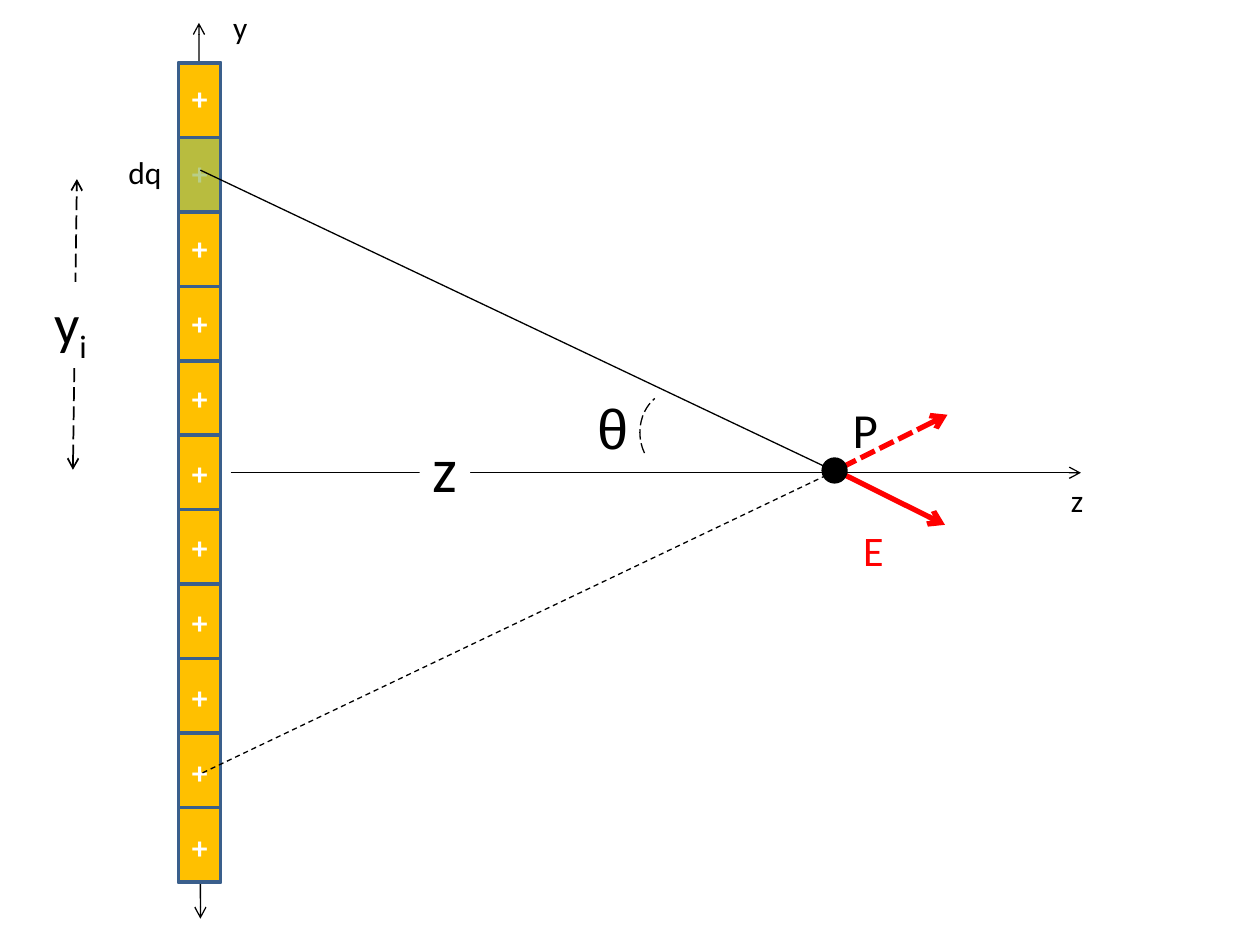
from pptx import Presentation
from pptx.dml.color import RGBColor
from pptx.enum.dml import MSO_LINE
from pptx.enum.shapes import MSO_CONNECTOR, MSO_SHAPE
from pptx.enum.text import MSO_ANCHOR, MSO_AUTO_SIZE, PP_ALIGN
from pptx.oxml.ns import qn
from pptx.util import Cm, Pt
from lxml.etree import SubElement

# Content: all lengths in centimetres
BLACK, WHITE, RED = "000000", "FFFFFF", "FF0000"
ROD_FILL, ROD_EDGE, ELEMENT_FILL = "FFC000", "3A5F8C", "9BBB59"

ROD = (3.6, 1.27, 0.85, 16.51)
SEGMENTS = 11
CHARGE_ELEMENT = 1
CHARGE_GAP = 21.2  # points between the plus signs

# start, end, format
LINES_BEHIND_ROD = [
    ((16.97, 9.42), (19.1, 8.36),
     dict(color=RED, width=3, dash=MSO_LINE.SQUARE_DOT, tail=True)),
    ((4.04, 18.52), (4.01, 0.46), dict(head=True, tail=True)),
    ((4.65, 9.53), (21.79, 9.53), dict(tail=True)),
]
LINES_OVER_ROD = [
    ((16.66, 9.42), (4.04, 3.43), dict()),
    ((16.66, 9.58), (4.04, 15.6), dict(dash=MSO_LINE.DASH)),
    ((1.47, 9.47), (1.55, 3.61),
     dict(width=1, dash=MSO_LINE.LONG_DASH, head=True, tail=True)),
    ((16.94, 9.53), (19.05, 10.58), dict(color=RED, width=3, tail=True)),
]

# text, place, format
LABELS = [
    ("y", (0.84, 5.69, 1.27, 1.63),
     dict(size=32, subscript="i", fill=WHITE, wrap=True)),
    ("z", (8.46, 8.53, 1.02, 1.8), dict(size=36, fill=WHITE)),
    ("θ", (11.79, 7.8, 1.47, 1.63), dict(size=32, font="Arial", wrap=True)),
    ("dq", (2.34, 2.97, 1.19, 1.02), dict()),
    ("E", (17.15, 10.44, 0.94, 1.27), dict(size=24, color=RED)),
    ("y", (4.45, 0.03, 0.81, 1.02), dict()),
    ("z", (21.34, 9.58, 0.76, 1.02), dict()),
    ("P", (16.94, 7.92, 1.04, 1.44), dict(size=28)),
]

ANGLE_ARC = (12.9, 7.87, 1.47, 1.7)
ARC_DEGREES = (327.11, 57.76)
POINT = (16.56, 9.22, 0.53, 0.53)


def rgb(value):
    return RGBColor.from_string(value)


def lengths(place):
    return [Cm(value) for value in place]


def paint(shape, fill=None, line=None, width=2):
    """Give a shape plain fill and outline, without shadow."""
    shape.shadow.inherit = False
    if fill:
        shape.fill.solid()
        shape.fill.fore_color.rgb = rgb(fill)
    else:
        shape.fill.background()
    if line:
        shape.line.color.rgb = rgb(line)
        shape.line.width = Pt(width)
    else:
        shape.line.fill.background()


def add_preset(shapes, preset, place, **look):
    shape = shapes.add_shape(preset, *lengths(place))
    paint(shape, **look)
    return shape


def add_line(shapes, start, end, color=BLACK, width=0.75, dash=None,
             head=False, tail=False):
    line = shapes.add_connector(
        MSO_CONNECTOR.STRAIGHT, *lengths(start + end))
    line.line.color.rgb = rgb(color)
    line.line.width = Pt(width)
    if dash:
        line.line.dash_style = dash
    outline = line.line._get_or_add_ln()
    for tag, wanted in (("a:headEnd", head), ("a:tailEnd", tail)):
        if wanted:
            SubElement(outline, qn(tag)).set("type", "arrow")
    SubElement(line.element.spPr, qn("a:effectLst"))


def write(para, text, size=18, font="Calibri", color=BLACK, bold=False):
    span = para.add_run()
    span.text = text
    span.font.size = Pt(size)
    span.font.name = font
    span.font.bold = bold
    span.font.color.rgb = rgb(color)
    return span


def add_label(shapes, text, place, fill=None, wrap=False, subscript="",
              **look):
    box = shapes.add_textbox(*lengths(place))
    if fill:
        box.fill.solid()
        box.fill.fore_color.rgb = rgb(fill)
    frame = box.text_frame
    frame.word_wrap = wrap
    frame.auto_size = MSO_AUTO_SIZE.SHAPE_TO_FIT_TEXT
    para = frame.paragraphs[0]
    write(para, text, **look)
    if subscript:
        span = write(para, subscript, **look)
        span.font._element.set("baseline", "-25000")


def add_rod(shapes):
    rod = add_preset(shapes, MSO_SHAPE.RECTANGLE, ROD,
                     fill=ROD_FILL, line=ROD_EDGE)
    frame = rod.text_frame
    frame.word_wrap = True
    frame.vertical_anchor = MSO_ANCHOR.MIDDLE
    for index in range(SEGMENTS):
        para = frame.add_paragraph() if index else frame.paragraphs[0]
        para.alignment = PP_ALIGN.CENTER
        if index:
            para.space_before = Pt(CHARGE_GAP)
        write(para, "+", color=WHITE, bold=True)


def add_segments(shapes):
    group = shapes.add_group_shape()
    left, top, width, height = ROD
    step = height / SEGMENTS
    for index in range(SEGMENTS):
        is_element = index == CHARGE_ELEMENT
        segment = add_preset(
            group.shapes, MSO_SHAPE.RECTANGLE,
            (left, top + index * step, width, step),
            fill=ELEMENT_FILL if is_element else None, line=ROD_EDGE)
        if is_element:
            color = segment.element.spPr.find(
                qn("a:solidFill") + "/" + qn("a:srgbClr"))
            SubElement(color, qn("a:alpha")).set("val", "71000")


def add_angle_arc(shapes):
    arc = add_preset(shapes, MSO_SHAPE.ARC, ANGLE_ARC,
                     line=BLACK, width=0.75)
    arc.line.dash_style = MSO_LINE.LONG_DASH
    for index, degrees in enumerate(ARC_DEGREES):
        arc.adjustments[index] = degrees * 0.6
    frame = arc.element.spPr.find(qn("a:xfrm"))
    for flip in ("flipH", "flipV"):
        frame.set(flip, "1")


def main():
    deck = Presentation()
    deck.slide_width, deck.slide_height = Cm(25.4), Cm(19.05)
    page = deck.slides.add_slide(deck.slide_layouts[6])
    shapes = page.shapes

    # Axes and charged rod
    for start, end, look in LINES_BEHIND_ROD:
        add_line(shapes, start, end, **look)
    add_rod(shapes)
    add_segments(shapes)

    # Rays, distance and field
    for start, end, look in LINES_OVER_ROD:
        add_line(shapes, start, end, **look)

    # Labels, angle and field point
    for text, place, look in LABELS:
        add_label(shapes, text, place, **look)
    add_angle_arc(shapes)
    add_preset(shapes, MSO_SHAPE.OVAL, POINT, fill=BLACK)

    deck.save("out.pptx")


if __name__ == "__main__":
    main()
